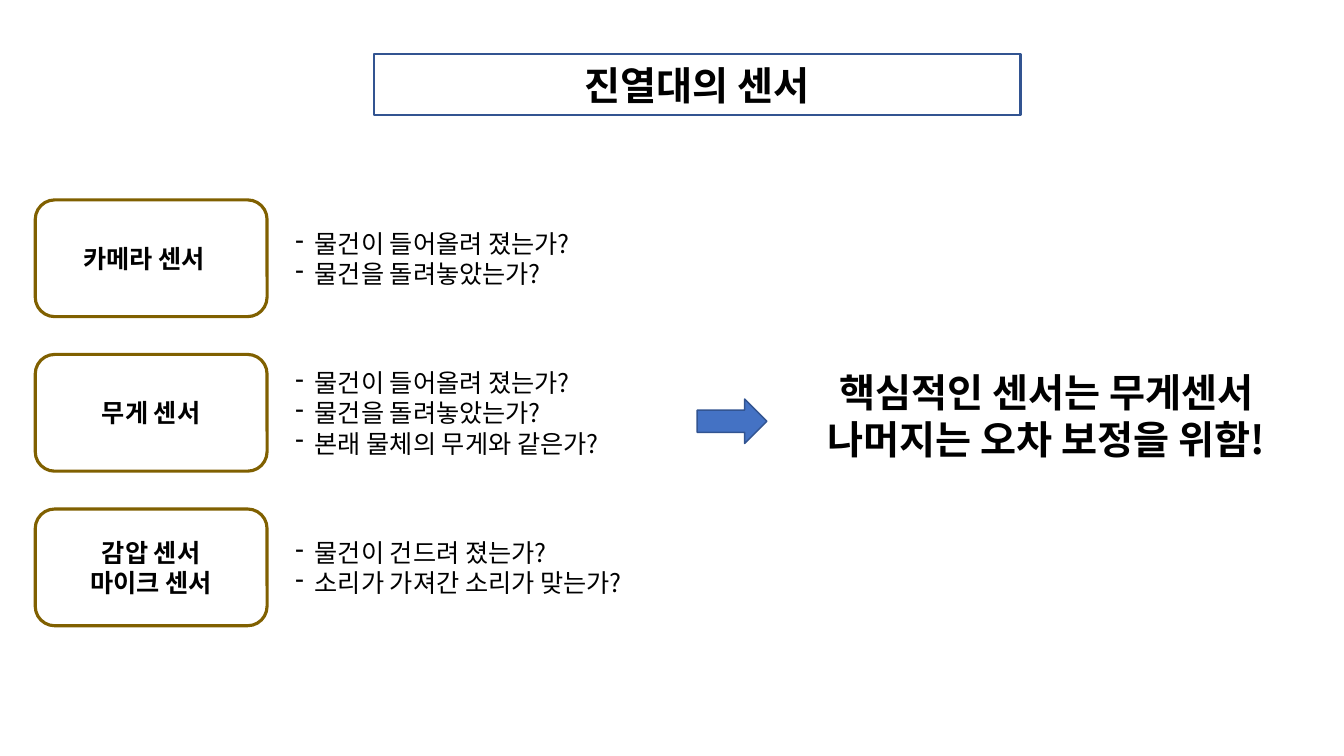
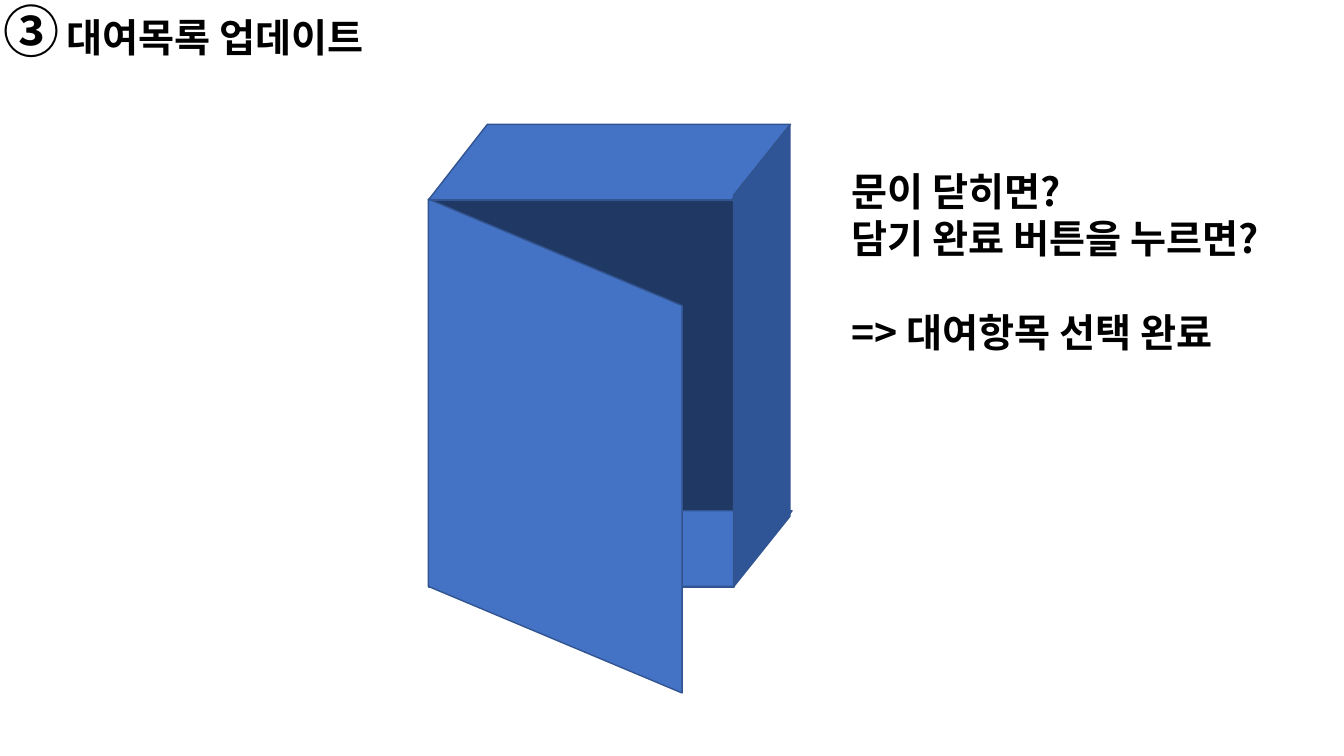
from dataclasses import dataclass

from lxml.etree import SubElement
from pptx import Presentation
from pptx.dml.color import RGBColor as RGB
from pptx.enum.shapes import MSO_SHAPE as Shp
from pptx.enum.text import MSO_ANCHOR as Anchor, PP_ALIGN as Al
from pptx.oxml.ns import qn
from pptx.shapes.autoshape import Shape
from pptx.util import Emu, Inches, Pt

W, H = Inches(40 / 3), Inches(7.5)
COL, ROW = W / 160, H / 90
FONT = "Noto Sans CJK KR"
COLORS = {
    "text": "000000",
    "gold": "806000",
    "blue": "4472C4",
    "edge": "325491",
    "side": "2F5597",
    "inside": "203864",
}
STYLES = {
    "body": {"size": Pt(18), "bold": False},
    "label": {"size": Pt(18), "bold": True},
    "head": {"size": Pt(28), "bold": True},
    "number": {"size": Pt(40), "bold": True},
}


@dataclass
class Area:
    x: float
    y: float
    w: float
    h: float

    def emu(self) -> list[Emu]:
        sizes = (self.x * COL, self.y * ROW, self.w * COL, self.h * ROW)
        return [Emu(round(v)) for v in sizes]


@dataclass
class Sensor:
    label: list[str]
    notes: list[str]
    right_pad: float = 0.1


@dataclass
class Panel:
    kind: Shp
    area: Area
    fill: str
    adj: float | None = None
    turn: int = 0
    flip: bool = False


SENSORS = [
    Sensor(["카메라 센서"],
           ["물건이 들어올려 졌는가?", "물건을 돌려놓았는가?"], 0.24),
    Sensor(["무게 센서"],
           ["물건이 들어올려 졌는가?", "물건을 돌려놓았는가?",
            "본래 물체의 무게와 같은가?"]),
    Sensor(["감압 센서", "마이크 센서"],
           ["물건이 건드려 졌는가?", "소리가 가져간 소리가 맞는가?"]),
]
CABINET = [
    Panel(Shp.RECTANGLE, Area(51, 23.8, 36.4, 46.1), "inside"),
    Panel(Shp.PARALLELOGRAM, Area(51, 14.8, 43.1, 9), "blue", 0.78),
    Panel(Shp.PARALLELOGRAM, Area(51.2, 60.8, 43.1, 9), "blue", 0.78),
    Panel(Shp.PARALLELOGRAM, Area(63.2, 39, 55, 6.7), "side", 1.25, 270, True),
    Panel(Shp.PARALLELOGRAM, Area(36.7, 38, 58.8, 30.2), "blue", 0.42, 90),
]


def write(s: Shape, lines: list[str], style: str, align: Al = Al.LEFT,
          anchor: Anchor = Anchor.TOP, dash: bool = False) -> None:
    tf = s.text_frame
    tf.word_wrap = True
    tf.vertical_anchor = anchor
    for i, line in enumerate(lines):
        p = tf.paragraphs[0] if i == 0 else tf.add_paragraph()
        p.alignment = align
        if dash:
            pPr = p._p.get_or_add_pPr()
            pPr.set("marL", str(Inches(0.19)))
            pPr.set("indent", str(-Inches(0.19)))
            SubElement(pPr, qn("a:buChar"), char="-")
        r = p.add_run()
        r.text = line
        for name, value in {"name": FONT, **STYLES[style]}.items():
            setattr(r.font, name, value)
        r.font.color.rgb = RGB.from_string(COLORS["text"])
        SubElement(r._r.get_or_add_rPr(), qn("a:ea"), typeface=FONT)


def add_text(slide, area: Area, lines: list[str], style: str,
             **layout) -> Shape:
    s = slide.shapes.add_textbox(*area.emu())
    write(s, lines, style, **layout)
    return s


def add_box(parent, kind: Shp, area: Area, line: str, width: float,
            fill: str | None = None) -> Shape:
    s = parent.shapes.add_shape(kind, *area.emu())
    s.shadow.inherit = False
    s.line.color.rgb = RGB.from_string(COLORS[line])
    s.line.width = Pt(width)
    if fill:
        s.fill.solid()
        s.fill.fore_color.rgb = RGB.from_string(COLORS[fill])
    else:
        s.fill.background()
    return s


def add_panel(group, panel: Panel) -> None:
    s = add_box(group, panel.kind, panel.area, "edge", 1, panel.fill)
    if panel.adj is not None:
        s.adjustments[0] = panel.adj
    s.rotation = panel.turn
    if panel.flip:
        s.element.spPr.get_or_add_xfrm().set("flipH", "1")


def sensor_slide(slide) -> None:
    title = add_box(slide, Shp.RECTANGLE, Area(44.5, 6.4, 77, 7.3), "edge", 1.5)
    write(title, ["진열대의 센서"], "head", Al.CENTER, Anchor.MIDDLE)
    for i, sensor in enumerate(SENSORS):
        top, height = 23.8 + 18.4 * i, 13.9
        card = add_box(slide, Shp.ROUNDED_RECTANGLE,
                       Area(4.2, top, 27.6, height), "gold", 2.25)
        write(card, sensor.label, "label", Al.CENTER, Anchor.MIDDLE)
        card.text_frame.margin_right = Inches(sensor.right_pad)
        add_text(slide, Area(34, top, 47, height), sensor.notes, "body",
                 anchor=Anchor.MIDDLE, dash=True)
    add_box(slide, Shp.RIGHT_ARROW, Area(83, 47.5, 8.3, 5.3), "edge", 1, "blue")
    add_text(slide, Area(93.4, 43.3, 62.4, 12.5),
             ["핵심적인 센서는 무게센서", "나머지는 오차 보정을 위함!"],
             "head", align=Al.CENTER)


def update_slide(slide) -> None:
    add_text(slide, Area(6.7, 1, 51.4, 6.8), ["대여목록 업데이트"], "head")
    add_text(slide, Area(-0.8, -1, 8.3, 9.2), ["③"], "number")
    group = slide.shapes.add_group_shape()
    for panel in CABINET:
        add_panel(group, panel)
    s = add_text(slide, Area(100.2, 19.3, 59.5, 23.9),
                 ["문이 닫히면?", "담기 완료 버튼을 누르면?",
                  "=> 대여항목 선택 완료"], "head")
    s.text_frame.paragraphs[-1].space_before = Pt(34)


def main() -> None:
    prs = Presentation()
    prs.slide_width, prs.slide_height = W, H
    for build in (sensor_slide, update_slide):
        build(prs.slides.add_slide(prs.slide_layouts[6]))
    prs.save("out.pptx")


if __name__ == "__main__":
    main()
